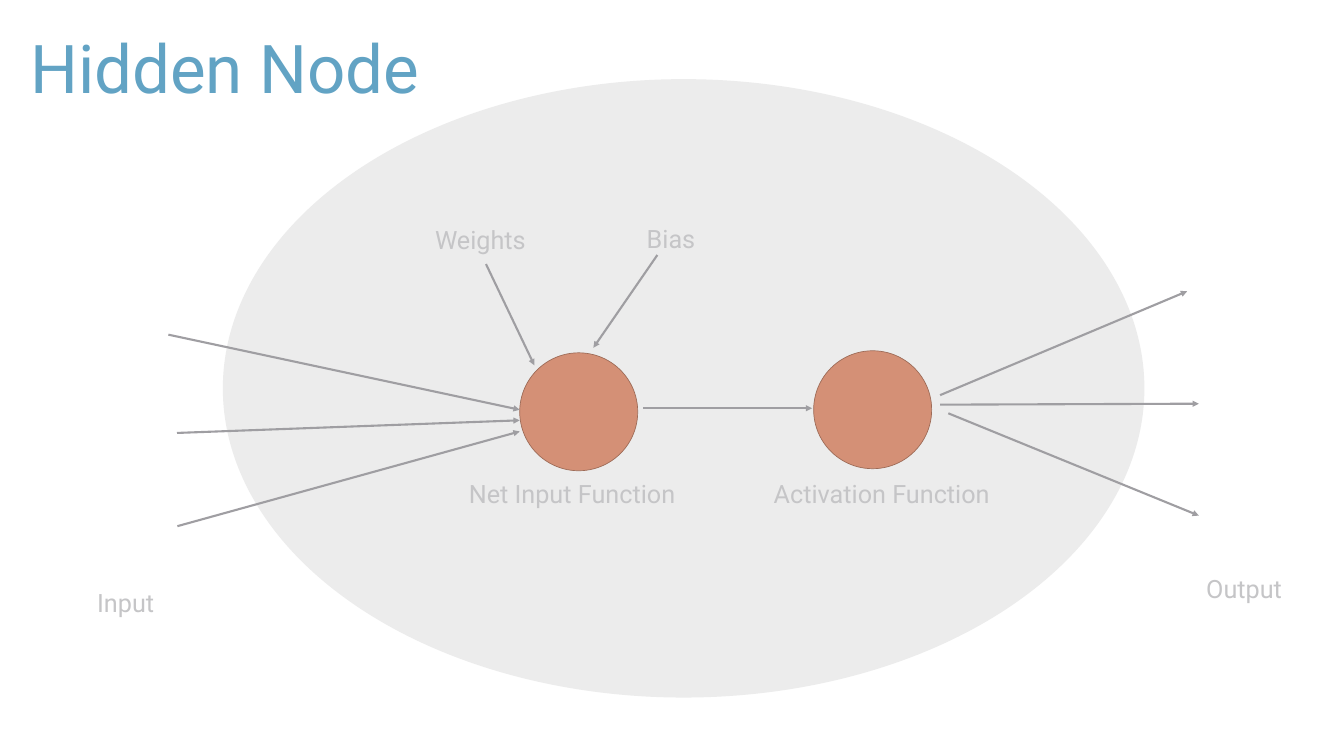
"""Build the Hidden Node slide: one neuron with its inputs, functions and outputs."""
from pptx import Presentation
from pptx.dml.color import RGBColor
from pptx.enum.shapes import MSO_CONNECTOR, MSO_SHAPE
from pptx.enum.text import MSO_ANCHOR, MSO_AUTO_SIZE, PP_ALIGN
from pptx.oxml.ns import qn
from pptx.util import Inches, Pt
from lxml import etree

OVAL, LINE = MSO_SHAPE.OVAL, MSO_CONNECTOR.STRAIGHT
LEFT, TOP, MIDDLE = PP_ALIGN.LEFT, MSO_ANCHOR.TOP, MSO_ANCHOR.MIDDLE
FIXED = MSO_AUTO_SIZE.NONE
FONT = "Roboto"
WIDE, HIGH = Inches(26.66), Inches(15)

# All places are percent of the slide: left, top, width, height.
TITLE = ("Hidden Node", (1.88, 0.53, 32.63, 17.87))
HULL = (16.58, 10.47, 68.57, 81.8)
NODES = [(38.67, 46.67), (60.54, 46.4)]
NODE_SIZE = (8.78, 15.6)
LABEL_HIGH = 4.73
LABELS = [
    ("Net Input Function", 34.51, 63, 17.14),
    ("Activation Function", 57.2, 63, 18.15),
    ("Weights", 32, 29.4, 7.73),
    ("Bias", 47.75, 29.27, 4.46),
    ("Input", 6.86, 77.33, 5.18),
    ("Output", 89.38, 75.53, 6.75),
]
ARROWS = {
    "input": [
        (12.53, 44.27, 38.67, 54.2),
        (13.17, 57.27, 38.67, 55.6),
        (13.2, 69.6, 38.67, 57.07),
    ],
    "weights": [(36.16, 34.93, 39.76, 48.33)],
    "bias": [(48.91, 33.73, 44.15, 46)],
    "net": [(47.86, 54, 60.43, 54)],
    "output": [
        (69.95, 52.27, 88.33, 38.53),
        (69.95, 53.53, 89.2, 53.4),
        (70.56, 54.67, 89.2, 68.2),
    ],
}


def color(code):
    """Turn a hex string into a colour."""
    return RGBColor.from_string(code)


def place(box):
    """Turn x, y pairs in percent into slide lengths."""
    return [round(part * (HIGH if i % 2 else WIDE) / 100) for i, part in enumerate(box)]


def write(frame, text, size, code, anchor):
    """Fill a text frame with one styled line and return its paragraph."""
    frame.word_wrap = True
    frame.auto_size = FIXED
    frame.vertical_anchor = anchor
    line = frame.paragraphs[0]
    line.text = text
    line.alignment = LEFT
    line.font.name = FONT
    line.font.size = Pt(size)
    line.font.color.rgb = color(code)
    return line


def add_oval(slide, box, fill, edge=None):
    """Draw a flat oval with an optional thin edge."""
    oval = slide.shapes.add_shape(OVAL, *place(box))
    oval.shadow.inherit = False
    oval.fill.solid()
    oval.fill.fore_color.rgb = color(fill)
    if edge:
        oval.line.color.rgb = color(edge)
        oval.line.width = Pt(1)
    else:
        oval.line.fill.background()


def add_arrow(slide, ends):
    """Draw a grey line with a triangle at its end."""
    arrow = slide.shapes.add_connector(LINE, *place(ends))
    arrow.line.color.rgb = color("9F9EA2")
    arrow.line.width = Pt(3)
    props = arrow._element.spPr
    etree.SubElement(props.find(qn("a:ln")), qn("a:tailEnd"), type="triangle")
    etree.SubElement(props, qn("a:effectLst"))


def main():
    """Build and save the slide."""
    deck = Presentation()
    deck.slide_width, deck.slide_height = WIDE, HIGH
    slide = deck.slides.add_slide(deck.slide_layouts[5])

    add_oval(slide, HULL, "ECECEC")
    text, box = TITLE
    title = slide.shapes.title
    title.left, title.top, title.width, title.height = place(box)
    write(title.text_frame, text, 96, "62A3C4", MIDDLE).line_spacing = 0.9

    for spot in NODES:
        add_oval(slide, spot + NODE_SIZE, "D49076", "9D6B57")
    for text, left, top, width in LABELS:
        label = slide.shapes.add_textbox(*place((left, top, width, LABEL_HIGH)))
        write(label.text_frame, text, 36, "C5C5C7", TOP)
    for group in ARROWS.values():
        for ends in group:
            add_arrow(slide, ends)
    deck.save("out.pptx")


if __name__ == "__main__":
    main()
